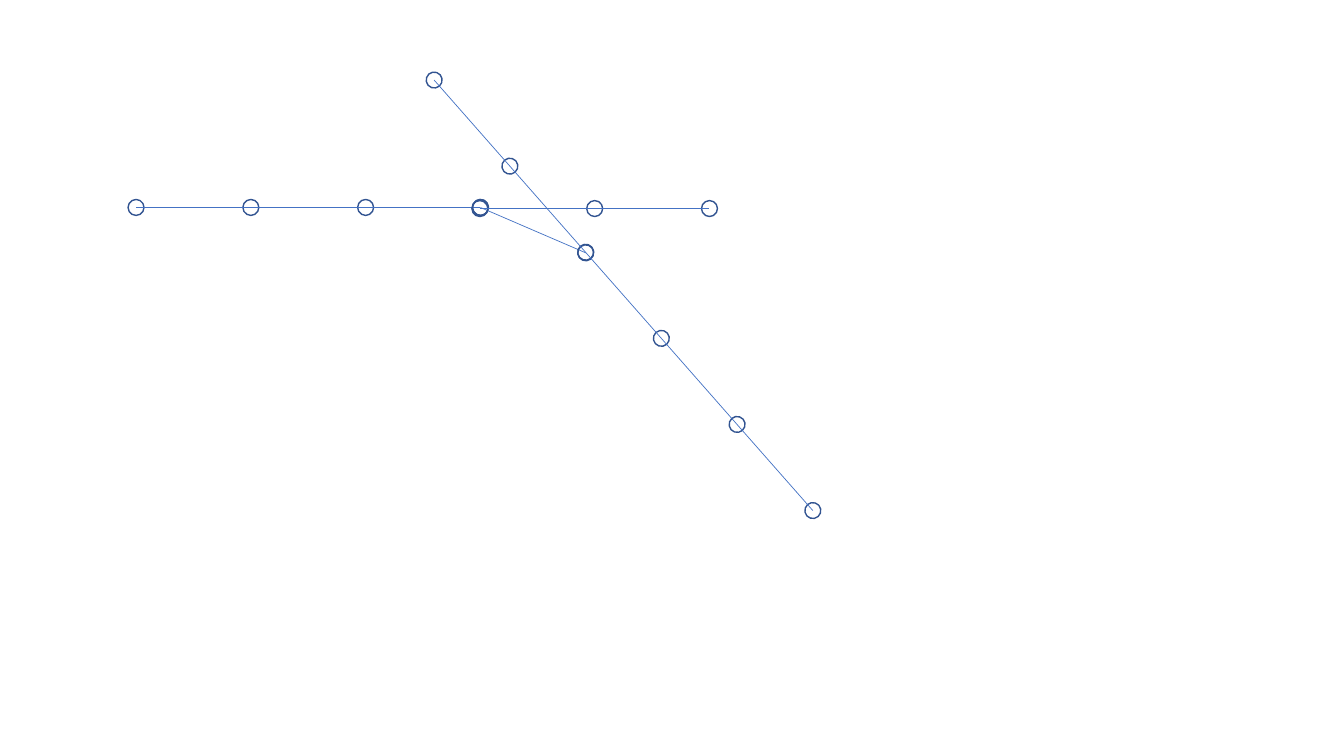
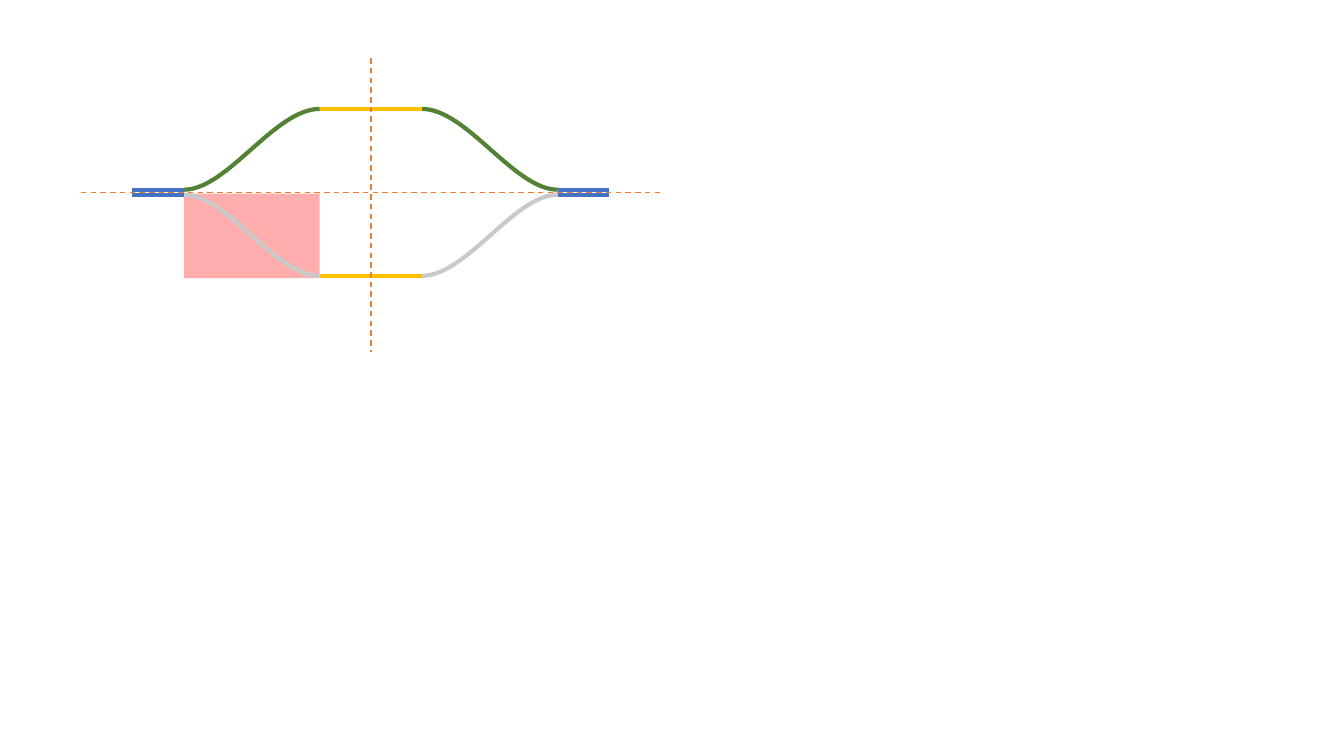
import math

import pptx
import pptx.dml.color
import pptx.enum.dml
import pptx.enum.shapes
import pptx.oxml
import pptx.oxml.ns
import pptx.util
from pptx.dml.color import RGBColor
from pptx.util import Pt

BLUE = RGBColor(0x44, 0x72, 0xC4)
NODE_BLUE = RGBColor(0x32, 0x54, 0x91)
GOLD = RGBColor(0xFF, 0xC0, 0x00)
GREEN = RGBColor(0x54, 0x82, 0x35)
GRAY = RGBColor(0xC9, 0xC9, 0xC9)
ORANGE = RGBColor(0xED, 0x7D, 0x31)
RED = RGBColor(0xFF, 0x00, 0x00)

NODE_SIZE = 11.4
TRACK_WIDTH = 3

# Distances from the vertical axis of the passing loop
AXIS_X, AXIS_Y = 264.9, 137.3
OUTER, SWITCH, INNER = 170.3, 133.5, 36.5


def add_line(shapes, start, end, color, width, dashed=False):
    line = shapes.add_connector(
        pptx.enum.shapes.MSO_CONNECTOR.STRAIGHT,
        Pt(start[0]), Pt(start[1]), Pt(end[0]), Pt(end[1]))
    line.line.color.rgb = color
    line.line.width = Pt(width)
    if dashed:
        line.line.dash_style = pptx.enum.dml.MSO_LINE.DASH
    line._element.spPr.append(pptx.oxml.parse_xml(
        '<a:effectLst %s/>' % pptx.oxml.ns.nsdecls("a")))


def add_node(shapes, center, angle):
    node = shapes.add_shape(
        pptx.enum.shapes.MSO_SHAPE.OVAL,
        Pt(center[0] - NODE_SIZE / 2), Pt(center[1] - NODE_SIZE / 2),
        Pt(NODE_SIZE), Pt(NODE_SIZE))
    node.shadow.inherit = False
    node.rotation = angle
    node.fill.background()
    node.line.color.rgb = NODE_BLUE
    node.line.width = Pt(1)


def add_chain(slide, start, step, count):
    """Add a run of evenly spaced nodes, each joined to the next."""
    shapes = slide.shapes.add_group_shape().shapes
    angle = math.degrees(math.atan2(step[1], step[0]))
    points = [(start[0] + step[0] * i, start[1] + step[1] * i)
              for i in range(count + 1)]
    for point in points:
        add_node(shapes, point, angle)
    for first, second in zip(points, points[1:]):
        add_line(shapes, first, second, BLUE, 0.5)


def add_curve(shapes, start, end, color):
    """Add an S-curve that leaves and arrives horizontally."""
    builder = shapes.build_freeform(Pt(start[0]), Pt(start[1]))
    builder.add_line_segments([(Pt(end[0]), Pt(end[1]))], close=False)
    curve = builder.convert_to_shape()
    curve.shadow.inherit = False
    curve.fill.background()
    curve.line.color.rgb = color
    curve.line.width = Pt(TRACK_WIDTH)

    # Turn the straight segment into a Bezier segment
    qn = pptx.oxml.ns.qn
    segment = curve._element.find(".//" + qn("a:lnTo"))
    origin = curve._element.find(".//" + qn("a:moveTo"))[0]
    x1, y1 = int(origin.get("x")), int(origin.get("y"))
    x2, y2 = int(segment[0].get("x")), int(segment[0].get("y"))
    controls = [(x1 + (x2 - x1) * 0.32, y1),
                (x1 + (x2 - x1) * 0.67, y2), (x2, y2)]
    points = "".join('<a:pt x="%d" y="%d"/>' % point for point in controls)
    segment.getparent().replace(segment, pptx.oxml.parse_xml(
        "<a:cubicBezTo %s>%s</a:cubicBezTo>"
        % (pptx.oxml.ns.nsdecls("a"), points)))


def add_track(slide, base_y, loop_y, color):
    """Add one track, mirrored about the vertical axis."""
    shapes = slide.shapes.add_group_shape().shapes
    for side in (-1, 1):
        outer, switch, inner = (
            AXIS_X + side * offset for offset in (OUTER, SWITCH, INNER))
        add_curve(shapes, (switch, base_y), (inner, loop_y), color)
        add_line(shapes, (outer, base_y), (switch, base_y), BLUE, TRACK_WIDTH)
        add_line(shapes, (inner, loop_y), (AXIS_X, loop_y), GOLD, TRACK_WIDTH)


def add_highlight(slide, left, top, width, height):
    area = slide.shapes.add_shape(
        pptx.enum.shapes.MSO_SHAPE.RECTANGLE,
        Pt(left), Pt(top), Pt(width), Pt(height))
    area.shadow.inherit = False
    area.line.fill.background()
    area.fill.solid()
    area.fill.fore_color.rgb = RED
    color = area._element.spPr.find(".//" + pptx.oxml.ns.qn("a:srgbClr"))
    color.append(pptx.oxml.parse_xml(
        '<a:alpha %s val="32000"/>' % pptx.oxml.ns.nsdecls("a")))


def build_chains(slide):
    add_chain(slide, (97.2, 148.2), (82, 0), 3)          # left
    add_chain(slide, (343.2, 148.2), (75.2, 32.4), 1)    # branch
    add_chain(slide, (310.1, 57.2), (54.1, 61.5), 5)     # diagonal
    add_chain(slide, (342.8, 149), (82, 0), 2)           # right


def build_loop(slide):
    add_highlight(slide, AXIS_X - SWITCH, 138.3, SWITCH - INNER, 60.4)
    add_track(slide, 135.5, 77.8, GREEN)
    add_track(slide, 139.1, 197, GRAY)
    # Axes
    add_line(slide.shapes, (57.8, AXIS_Y), (471.9, AXIS_Y), ORANGE, 1, True)
    add_line(slide.shapes, (AXIS_X, 41.5), (AXIS_X, 251.3), ORANGE, 1, True)


def main():
    deck = pptx.Presentation()
    deck.slide_width, deck.slide_height = Pt(960), Pt(540)
    blank = deck.slide_layouts[6]
    for build in (build_chains, build_loop):
        build(deck.slides.add_slide(blank))
    deck.save("out.pptx")


main()
